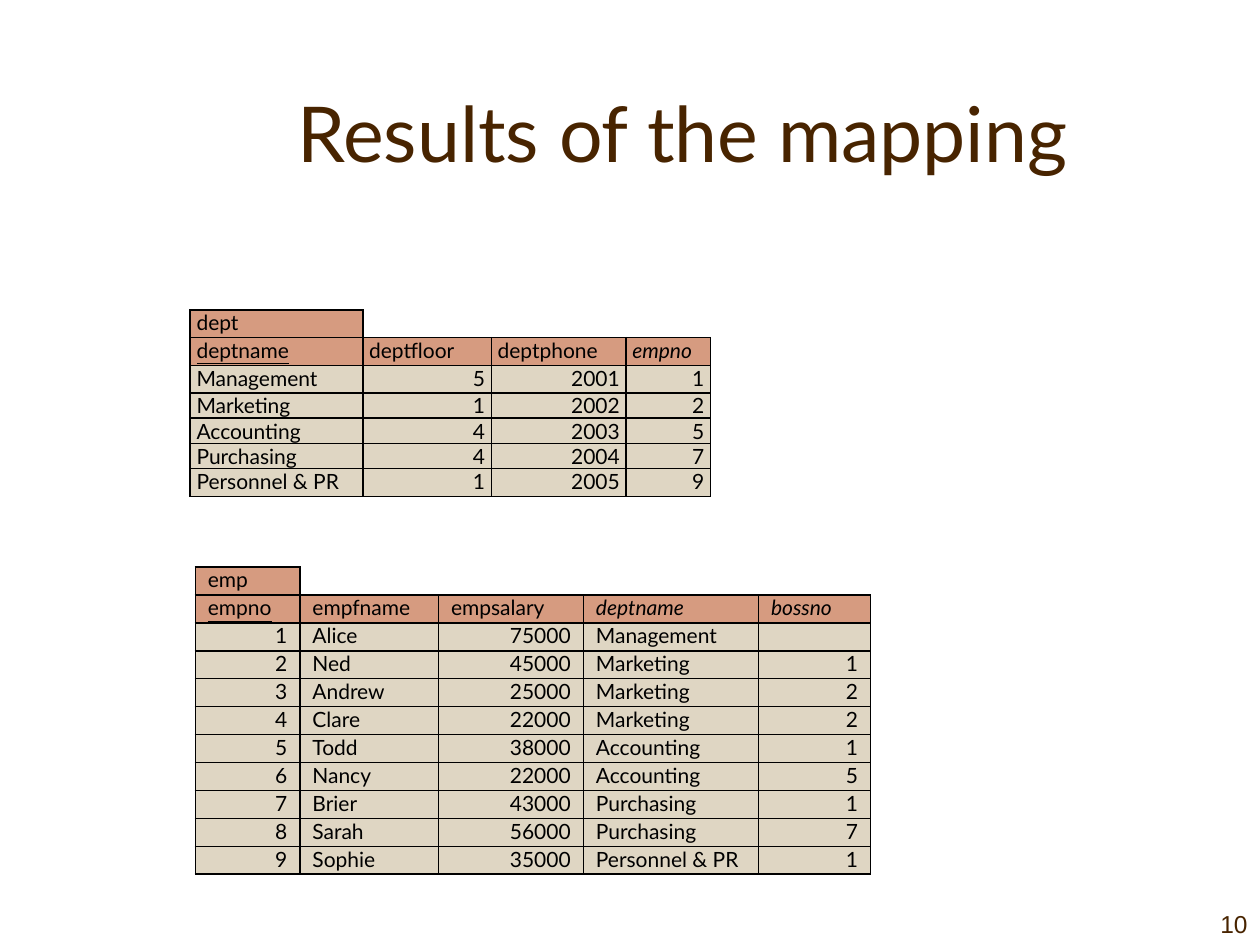
from lxml import etree
from pptx import Presentation
from pptx.dml.color import RGBColor
from pptx.enum.text import MSO_ANCHOR as Anchor, PP_ALIGN as Align
from pptx.oxml.ns import qn
from pptx.util import Inches, Pt

BROWN, BLACK, HEADER_FILL, BODY_FILL = "482400", "000000", "D69B80", "DFD6C3"


def style(font, size, color, name="Lato"):
    font.size, font.name = Pt(size), name
    font.color.rgb = RGBColor.from_string(color)


def add_borders(cell, edges):
    properties = cell._tc.get_or_add_tcPr()
    for index, edge in enumerate("LRTB"):
        line = etree.Element(qn(f"a:ln{edge}"), w=str(Pt(1)))
        if edge in edges:
            fill = etree.SubElement(line, qn("a:solidFill"))
            etree.SubElement(fill, qn("a:srgbClr"), val=BLACK)
        else:
            etree.SubElement(line, qn("a:noFill"))
        properties.insert(index, line)


presentation = Presentation()
presentation.slide_width, presentation.slide_height = Inches(10), Inches(7.5)
slide = presentation.slides.add_slide(presentation.slide_layouts[5])

# Title
title = slide.shapes.title
title.left, title.top = Inches(1.17), Inches(0.42)
title.width, title.height = Inches(8.5), Inches(1.25)
title.text_frame.text = "Results of the mapping"
title.text_frame.vertical_anchor = Anchor.MIDDLE
title_paragraph = title.text_frame.paragraphs[0]
title_paragraph.alignment = Align.CENTER
style(title_paragraph.runs[0].font, 44, BROWN)

# Page number
number_box = slide.shapes.add_textbox(Inches(9), Inches(7), Inches(1), Inches(0.5))
number_box.text_frame.word_wrap = True
number_box.text_frame.text = "10"
number_box.text_frame.vertical_anchor = Anchor.BOTTOM
number_paragraph = number_box.text_frame.paragraphs[0]
number_paragraph.alignment = Align.RIGHT
style(number_paragraph.runs[0].font, 14, BROWN, "Arial")

# Relations: left, top, side margin, column widths, row heights, italic keys, rows
dept = (1.51, 2.46, 0.05, [1.37, 1.02, 1.07, 0.67],
        [0.22] * 3 + [0.2] * 3 + [0.22], {"empno"}, [
            ["dept"],
            ["deptname", "deptfloor", "deptphone", "empno"],
            ["Management", "5", "2001", "1"],
            ["Marketing", "1", "2002", "2"],
            ["Accounting", "4", "2003", "5"],
            ["Purchasing", "4", "2004", "7"],
            ["Personnel & PR", "1", "2005", "9"],
        ])
emp = (1.55, 4.5, 0.1, [0.83, 1.1, 1.15, 1.39, 0.89],
       [2.44 / 11] * 11, {"deptname", "bossno"}, [
           ["emp"],
           ["empno", "empfname", "empsalary", "deptname", "bossno"],
           ["1", "Alice", "75000", "Management", ""],
           ["2", "Ned", "45000", "Marketing", "1"],
           ["3", "Andrew", "25000", "Marketing", "2"],
           ["4", "Clare", "22000", "Marketing", "2"],
           ["5", "Todd", "38000", "Accounting", "1"],
           ["6", "Nancy", "22000", "Accounting", "5"],
           ["7", "Brier", "43000", "Purchasing", "1"],
           ["8", "Sarah", "56000", "Purchasing", "7"],
           ["9", "Sophie", "35000", "Personnel & PR", "1"],
       ])

for left, top, margin, widths, heights, foreign_keys, rows in (dept, emp):
    table = slide.shapes.add_table(
        len(rows), len(widths), Inches(left), Inches(top),
        Inches(sum(widths)), Inches(sum(heights))).table
    table.first_row = table.horz_banding = False
    for column, width in zip(table.columns, widths):
        column.width = Inches(width)
    for row, height in zip(table.rows, heights):
        row.height = Inches(height)

    for r, values in enumerate(rows):
        for c in range(len(widths)):
            cell = table.cell(r, c)
            cell.margin_left = cell.margin_right = Inches(margin)
            cell.margin_top = cell.margin_bottom = 0
            paragraph = cell.text_frame.paragraphs[0]
            text = values[c] if c < len(values) else ""
            if text:
                paragraph.text = text
                paragraph.alignment = Align.RIGHT if text.isdigit() else Align.JUSTIFY
                paragraph.space_before = paragraph.space_after = Pt(3)
                font = paragraph.runs[0].font
                style(font, 12, BLACK)
                if r == 1:
                    font.underline = c == 0
                    font.italic = text in foreign_keys and c > 0
            else:
                # Small end mark keeps the empty cell from stretching its row
                etree.SubElement(paragraph._p, qn("a:endParaRPr"), sz="1200")

            # The name row has only its first cell filled
            if c < len(values):
                cell.fill.solid()
                cell.fill.fore_color.rgb = RGBColor.from_string(
                    HEADER_FILL if r < 2 else BODY_FILL)
                add_borders(cell, "LRTB")
            else:
                cell.fill.background()
                add_borders(cell, "LB" if c == 1 else "B")

presentation.save("out.pptx")
